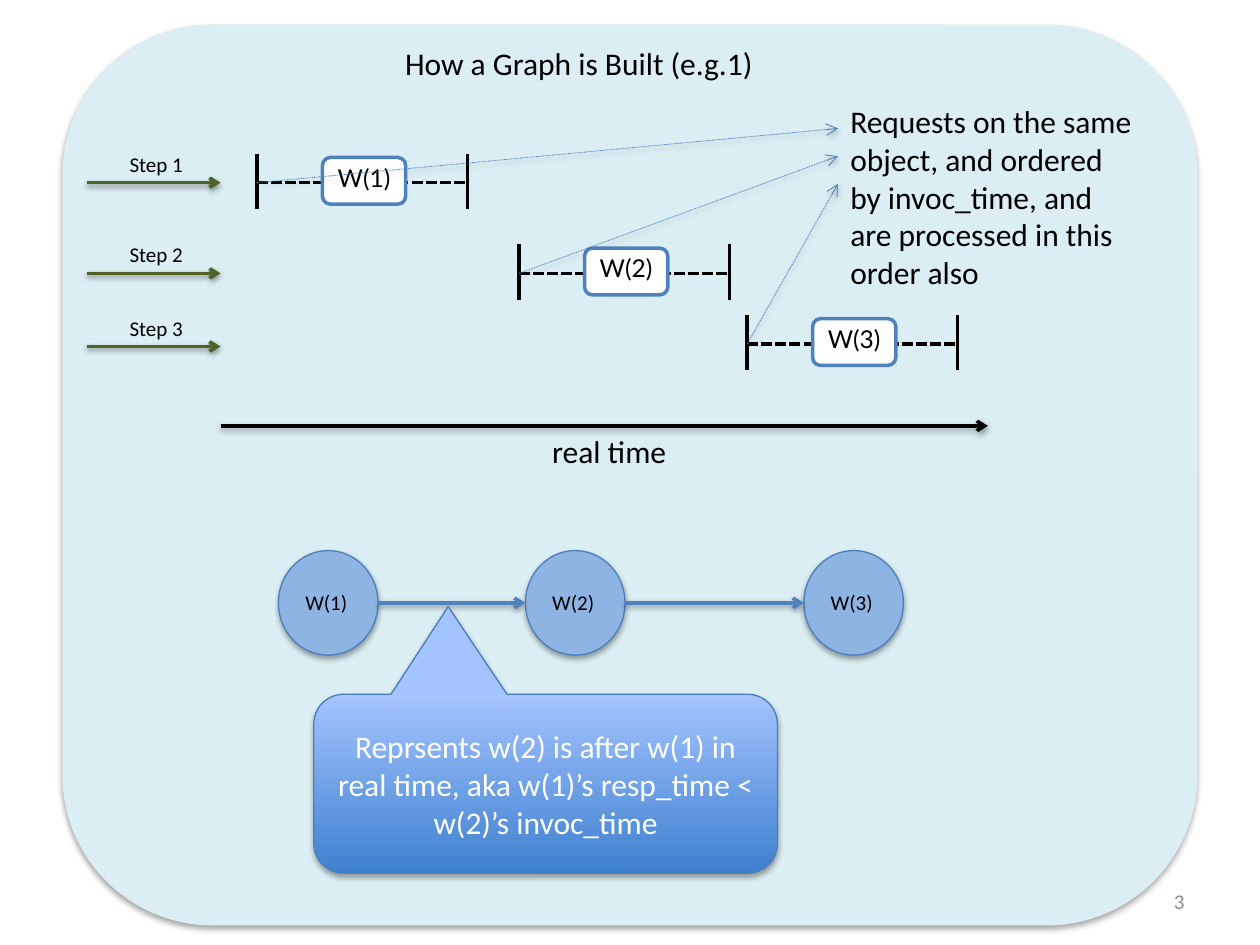
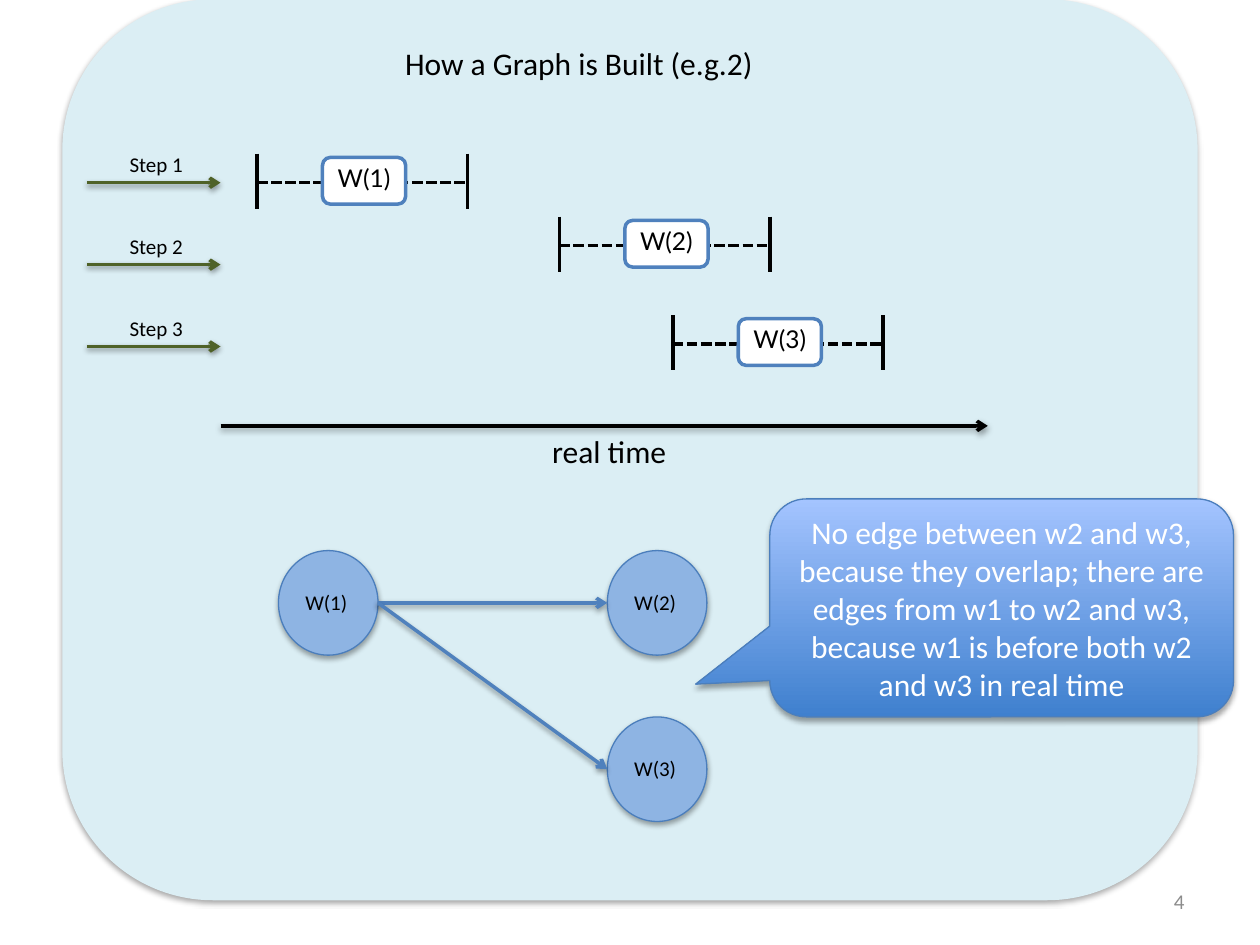
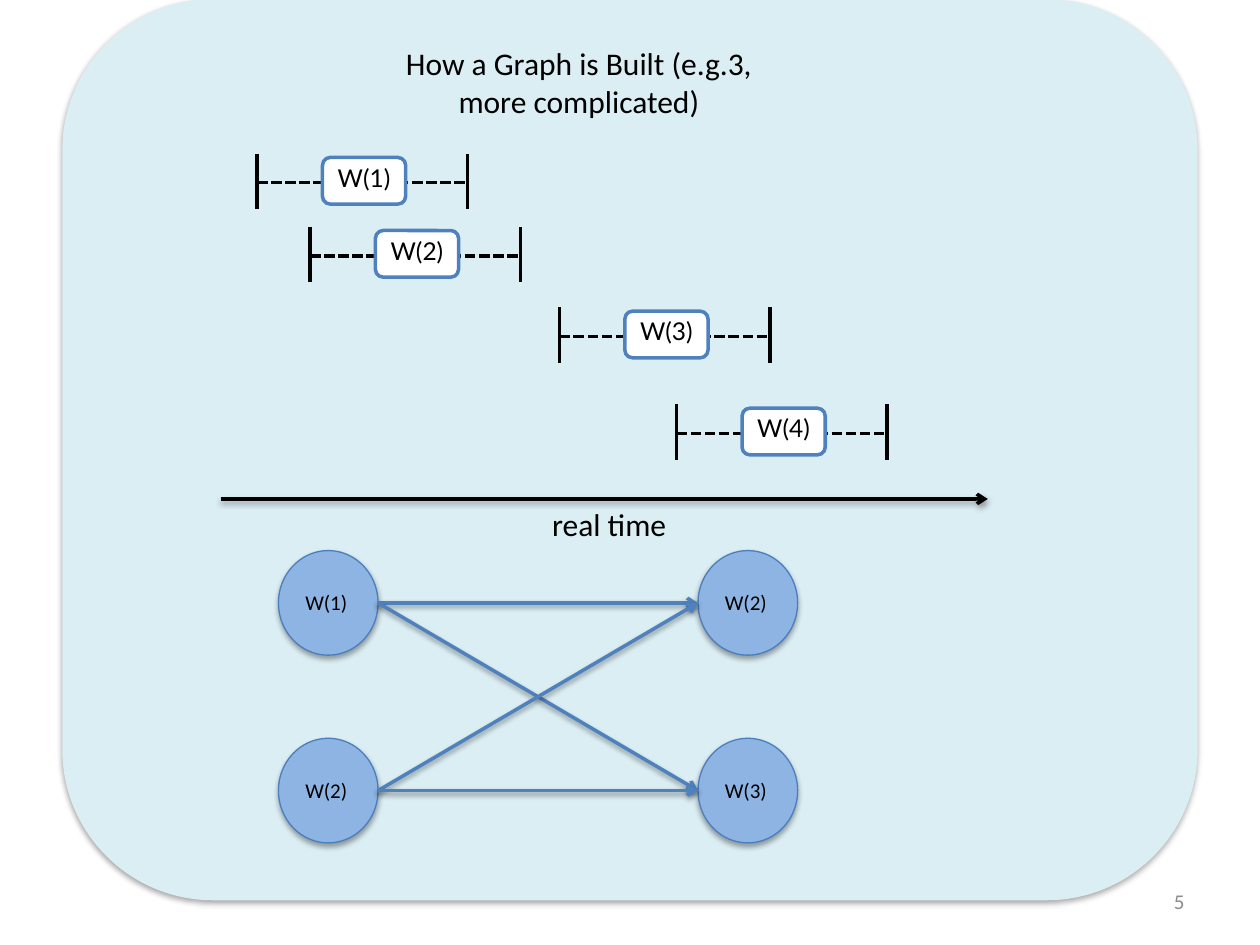
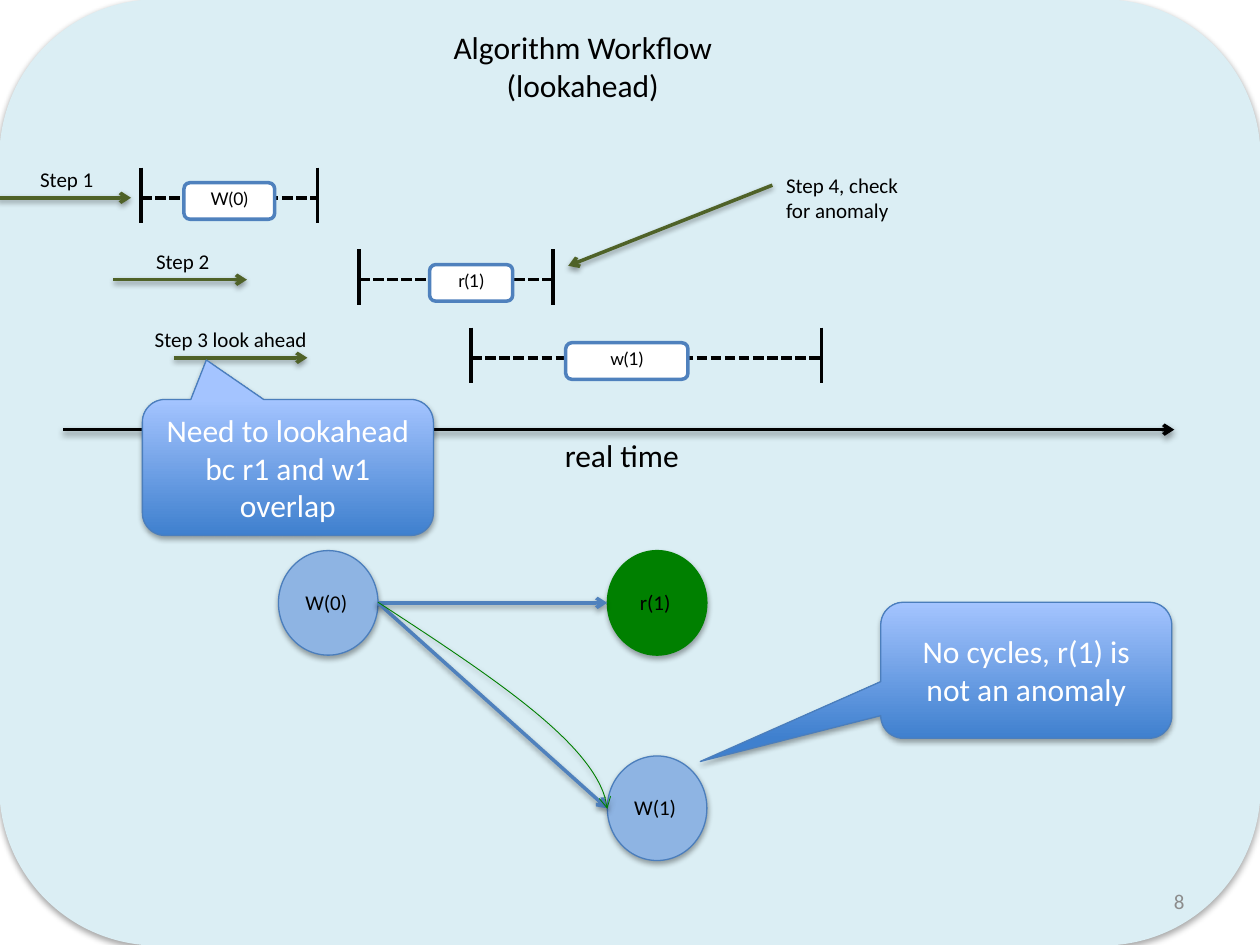
from dataclasses import dataclass

from lxml.etree import SubElement
from pptx import Presentation
from pptx.dml.color import RGBColor
from pptx.enum.dml import MSO_LINE
from pptx.enum.shapes import MSO_CONNECTOR, MSO_SHAPE
from pptx.enum.text import MSO_ANCHOR, MSO_AUTO_SIZE, PP_ALIGN
from pptx.oxml.ns import qn
from pptx.util import Pt

PX = 9144  # EMU per px, 100 px to the inch
WIDTH, HEIGHT = 1000, 750


@dataclass(frozen=True)
class Theme:
    font: str = "Calibri"
    box_font: str = "Lato"
    ink: str = "000000"
    white: str = "FFFFFF"
    panel: str = "DBEEF4"
    accent: str = "4F81BD"
    outline: str = "4B7EBC"
    node: str = "8EB4E3"
    step: str = "4F6228"
    green: str = "008000"
    number: str = "8C8C8C"
    callout_bottom: str = "3F80CE"
    callout_top: str = "A4C4FF"
    large: int = 18
    small: int = 12
    heavy: float = 2
    thin: float = 0.75
    hair: float = 0.5


@dataclass(frozen=True)
class BoxStyle:
    """Measures of a request, relative to the middle of its dashed line."""
    tick_shift: int
    box_up: int
    box_h: int
    size: int


T = Theme()
TALL = BoxStyle(-1, 20, 37, 14)
LOW = BoxStyle(-2, 12, 29, 10)
TICK = 44
NODE_W, NODE_H = 79, 83
NODE_LEFT, NODE_TOP, NODE_MID = 221, 437, 482
STEP_LEFT, STEP_W, LABEL_H = 69, 106, 34
POINTER_GAP = 22
SHAPE_SHADOW, LINE_SHADOW = (35, 23000), (38, 20000)
CALLOUT_SIZE = (231, 108)

# requests: label, start, middle y [, length, box offset, box width]
# steps: label, middle y [, arrow left, label offset, label width]
# nodes: label, left, top [, colour]; edges and curves join nodes by index
# callouts: text, left, top, (width, height), pointer x, y
SLIDES = [
    {
        "title": "How a Graph is Built (e.g.1)", "number": "3", "panel_top": 20,
        "requests": [("W(1)", 204, 145), ("W(2)", 412, 217), ("W(3)", 593, 273)],
        "note": ("Requests on the same object, and ordered by invoc_time, and are "
                 "processed in this order also", 665, 76, 246, 162),
        "steps": [("Step 1", 145), ("Step 2", 217), ("Step 3", 275)],
        "nodes": [("W(1)", NODE_LEFT, NODE_TOP), ("W(2)", 417, NODE_TOP),
                  ("W(3)", 638, NODE_TOP)],
        "edges": [(0, 1), (1, 2)],
        "callouts": [("Reprsents w(2) is after w(1) in real time, aka w(1)’s resp_time < "
                      "w(2)’s invoc_time", 249, 551, (368, 142), -0.21, -0.99)],
    },
    {
        "title": "How a Graph is Built (e.g.2)", "number": "4",
        "requests": [("W(1)", 204, 145), ("W(2)", 444, 195), ("W(3)", 534, 273)],
        "steps": [("Step 1", 145), ("Step 2", 210), ("Step 3", 275)],
        "nodes": [("W(1)", NODE_LEFT, NODE_TOP), ("W(2)", NODE_MID, NODE_TOP),
                  ("W(3)", NODE_MID, 569)],
        "edges": [(0, 1), (0, 2)],
        "callouts": [("No edge between w2 and w3, because they overlap; there are edges "
                      "from w1 to w2 and w3, because w1 is before both w2 and w3 in real time",
                      611, 396, (368, 173), -0.66, 0.35)],
    },
    {
        "title": "How a Graph is Built (e.g.3, more complicated)", "number": "5",
        "axis_y": 396,
        "requests": [("W(1)", 204, 145), ("W(2)", 246, 203), ("W(3)", 444, 267),
                     ("W(4)", 537, 344)],
        "nodes": [("W(1)", NODE_LEFT, NODE_TOP), ("W(2)", NODE_LEFT, 586),
                  ("W(2)", 554, NODE_TOP), ("W(3)", 554, 586)],
        "edges": [(a, b) for a in (0, 1) for b in (2, 3)],
    },
    {
        "title": "Algorithm Workflow (lookahead)", "number": "8", "title_at": (289, 17),
        "full_panel": True, "axis": (50, 932), "axis_y": 341, "axis_label": 405,
        "boxes": LOW,
        "requests": [("W(0)", 112, 157, 140, 34, 72), ("r(1)", 285, 222, 154, 56, 66),
                     ("w(1)", 374, 284, 278, 75, 97)],
        "steps": [("Step 1", 157, -2), ("Step 2", 222, 90),
                  ("Step 3 look ahead", 284, 138, -25, 167)],
        "check": ("Step 4, check for anomaly", (614, 128, 127, 54), (613, 147, 451, 211)),
        "nodes": [("W(0)", NODE_LEFT, NODE_TOP), ("r(1)", NODE_MID, NODE_TOP, T.green),
                  ("W(1)", NODE_MID, 600)],
        "edges": [(0, 1), (0, 2)],
        "curves": [(0, 2)],
        "callouts": [("Need to lookahead bc r1 and w1 overlap",
                      113, 317, CALLOUT_SIZE, -0.28, -0.79),
                     ("No cycles, r(1) is not an anomaly",
                      699, 478, CALLOUT_SIZE, -1.12, 0.67)],
    },
]


def rgb(color):
    return RGBColor.from_string(color)


def px(*lengths):
    return [round(n * PX) for n in lengths]


def set_line(line, color, width, dash=None, arrow=False):
    line.color.rgb = rgb(color)
    line.width = Pt(width)
    if dash:
        line.dash_style = dash
    if arrow:
        SubElement(line._get_or_add_ln(), qn("a:tailEnd"), type="arrow")


def set_effects(shape, shadow=None):
    """Give a downward shadow or none at all; call after the line is set."""
    effects = SubElement(shape._element.spPr, qn("a:effectLst"))
    if shadow:
        opacity, distance = shadow
        outer = SubElement(effects, qn("a:outerShdw"), blurRad="40000", dist=str(distance),
                           dir="5400000", rotWithShape="0")
        color = SubElement(outer, qn("a:srgbClr"), val=T.ink)
        SubElement(color, qn("a:alpha"), val=f"{opacity}000")


def write(shape, text, size, color=T.ink, font=T.font, align=PP_ALIGN.CENTER,
          anchor=MSO_ANCHOR.TOP, wrap=True):
    tf = shape.text_frame
    tf.text = text
    tf.auto_size = MSO_AUTO_SIZE.NONE
    tf.word_wrap = wrap
    tf.vertical_anchor = anchor
    p = tf.paragraphs[0]
    p.alignment = align
    p.font.name, p.font.size, p.font.color.rgb = font, Pt(size), rgb(color)
    return p


def add_label(s, text, box, size, **style):
    write(s.shapes.add_textbox(*px(*box)), text, size, **style)


def add_filled(s, kind, box, fill, line, width=T.thin, shadow=SHAPE_SHADOW):
    sp = s.shapes.add_shape(kind, *px(*box))
    if fill:
        sp.fill.solid()
        sp.fill.fore_color.rgb = rgb(fill)
    set_line(sp.line, line, width)
    set_effects(sp, shadow)
    return sp


def add_line(s, ends, color, width=T.heavy, dash=None, arrow=False):
    """Plain line, or an arrow, which also casts a shadow."""
    cx = s.shapes.add_connector(MSO_CONNECTOR.STRAIGHT, *px(*ends))
    set_line(cx.line, color, width, dash, arrow)
    set_effects(cx, LINE_SHADOW if arrow else None)


def add_panel(s, top=0, full=False):
    box = (0, 0, WIDTH, HEIGHT) if full else (50, top, 900, 714)
    add_filled(s, MSO_SHAPE.ROUNDED_RECTANGLE, box, T.panel, T.panel)


def add_axis(s, y, ends, label_left):
    left, right = ends
    add_line(s, (left, y, right, y), T.ink, arrow=True)
    add_label(s, "real time", (label_left, y, 177, 40), T.large)


def add_request(s, style, label, start, y, length=167, box_dx=52, box_w=66):
    end = start + length
    add_line(s, (start, y, end, y), T.ink, dash=MSO_LINE.SQUARE_DOT)
    top = y + style.tick_shift - TICK / 2
    for x in (start, end):
        add_line(s, (x, top, x, top + TICK), T.ink)
    box = add_filled(s, MSO_SHAPE.ROUNDED_RECTANGLE,
                     (start + box_dx, y - style.box_up, box_w, style.box_h),
                     T.white, T.accent, T.heavy, shadow=None)
    write(box, label, style.size, font=T.box_font, wrap=False).line_spacing = 0.9


def add_note(s, requests, text, left, top, width, height):
    """Note with a dotted pointer from the start of each request."""
    for i, (_, start, y) in enumerate(requests):
        add_line(s, (start, y, left, 102 + i * POINTER_GAP), T.accent, T.hair,
                 MSO_LINE.ROUND_DOT, arrow=True)
    add_label(s, text, (left, top, width, height), T.large, align=PP_ALIGN.LEFT)


def add_step_label(s, text, box):
    add_label(s, text, box, T.small, align=PP_ALIGN.LEFT, anchor=MSO_ANCHOR.BOTTOM)


def add_step(s, label, y, x=STEP_LEFT, label_dx=24, label_w=71):
    add_line(s, (x, y, x + STEP_W, y), T.step, arrow=True)
    add_step_label(s, label, (x + label_dx, y - LABEL_H, label_w, LABEL_H))


def add_check(s, text, box, arrow):
    add_line(s, arrow, T.step, arrow=True)
    add_step_label(s, text, box)


def add_node(s, label, x, y, color=None):
    add_filled(s, MSO_SHAPE.OVAL, (x, y, NODE_W, NODE_H), color or T.node, color or T.outline)
    add_label(s, label, (x + 8, y + 26, 60, 30), T.small)


def join(nodes, pair):
    """Ends of the edge from the right of one node to the left of another."""
    (_, x1, y1, *_), (_, x2, y2, *_) = (nodes[i] for i in pair)
    return x1 + NODE_W, y1 + NODE_H / 2, x2, y2 + NODE_H / 2


def add_curve(s, x1, y1, x2, y2):
    """Cubic curve: three straight segments turned into one Bezier."""
    w, h = x2 - x1, y2 - y1
    controls = [(x1 + w * fx, y1 + h * fy) for fx, fy in ((0.49, 0.35), (0.97, 0.71), (1, 1))]
    builder = s.shapes.build_freeform(x1, y1, scale=PX)
    builder.add_line_segments(controls, close=False)
    sp = builder.convert_to_shape()
    segments = sp._element.xpath(".//a:lnTo")
    outline = segments[0].getparent()
    bezier = SubElement(outline, qn("a:cubicBezTo"))
    for segment in segments:
        bezier.append(segment[0])
        outline.remove(segment)
    sp.fill.background()
    set_line(sp.line, T.green, T.hair, arrow=True)
    set_effects(sp, LINE_SHADOW)


def add_callout(s, text, x, y, size, *tip):
    sp = add_filled(s, MSO_SHAPE.ROUNDED_RECTANGULAR_CALLOUT, (x, y, *size), None, T.outline)
    for i, offset in enumerate(tip):
        sp.adjustments[i] = offset
    sp.fill.gradient()
    sp.fill.gradient_angle = 90
    for stop, color in zip(sp.fill.gradient_stops, (T.callout_bottom, T.callout_top)):
        stop.color.rgb = rgb(color)
    write(sp, text, T.large, T.white, anchor=MSO_ANCHOR.MIDDLE)


def set_title(s, text, left, top):
    title = s.shapes.title
    title.left, title.top, title.width, title.height = px(left, top, 347, 71)
    write(title, text, T.large)
    s.shapes._spTree.append(title._element)  # in front of the panel


def build_slide(prs, d):
    s = prs.slides.add_slide(prs.slide_layouts[5])
    add_panel(s, d.get("panel_top", 0), d.get("full_panel", False))
    add_axis(s, d.get("axis_y", 338), d.get("axis", (175, 784)), d.get("axis_label", 395))
    for request in d["requests"]:
        add_request(s, d.get("boxes", TALL), *request)
    if "note" in d:
        add_note(s, d["requests"], *d["note"])
    for step in d.get("steps", []):
        add_step(s, *step)
    if "check" in d:
        add_check(s, *d["check"])
    for node in d["nodes"]:
        add_node(s, *node)
    for pair in d["edges"]:
        add_line(s, join(d["nodes"], pair), T.accent, arrow=True)
    for pair in d.get("curves", []):
        add_curve(s, *join(d["nodes"], pair))
    for callout in d.get("callouts", []):
        add_callout(s, *callout)
    set_title(s, d["title"], *d.get("title_at", (286, 30)))
    add_label(s, d["number"], (717, 695, 233, 40), T.small, color=T.number,
              align=PP_ALIGN.RIGHT, anchor=MSO_ANCHOR.MIDDLE)


def main():
    prs = Presentation()
    prs.slide_width, prs.slide_height = px(WIDTH, HEIGHT)
    for d in SLIDES:
        build_slide(prs, d)
    prs.save("out.pptx")


if __name__ == "__main__":
    main()
